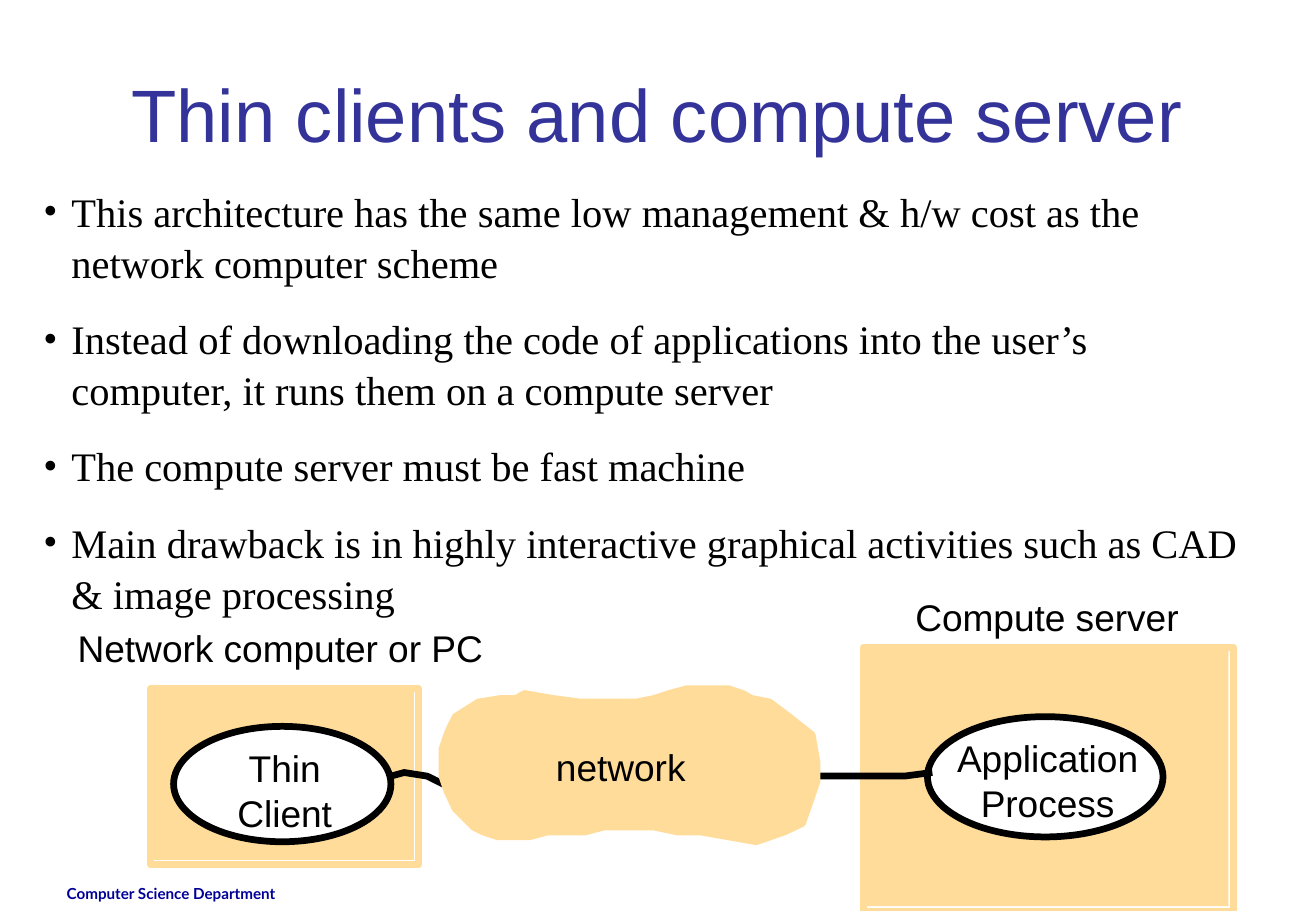
from pptx import Presentation
from pptx import util as u
from pptx.dml.color import RGBColor
from pptx.enum import shapes, text
from lxml import etree

UNIT = 9144  # the grid has 100 columns and rows to the inch
WIDE, HIGH = 1084, 750
BLACK = RGBColor(0, 0, 0)
WHITE = RGBColor(255, 255, 255)
SAND = RGBColor(0xFF, 0xDC, 0x99)
INDIGO = RGBColor(0x33, 0x33, 0x99)
NAVY = RGBColor(0, 0, 0x99)
MID, LEFT = text.PP_ALIGN.CENTER, text.PP_ALIGN.LEFT

POINTS = [
    "This architecture has the same low management & h/w cost as the network computer scheme",
    "Instead of downloading the code of applications into the user’s computer, "
    "it runs them on a compute server",
    "The compute server must be fast machine",
    "Main drawback is in highly interactive graphical activities such as CAD & image processing",
]
CLOUD = [
    (7, 31), (11, 23), (30, 11), (49, 8), (61, 8), (68, 4), (91, 8), (114, 11),
    (160, 11), (175, 8), (187, 4), (202, 0), (236, 0), (248, 4), (255, 8),
    (270, 11), (286, 23), (305, 38), (309, 61), (309, 76), (305, 88), (297, 111),
    (282, 118), (259, 126), (213, 118), (194, 118), (175, 114), (133, 114),
    (118, 118), (87, 118), (72, 122), (46, 122), (34, 118), (26, 114), (19, 107),
    (11, 99), (4, 84), (0, 72), (0, 50), (4, 38),
]


def grid(*cells):
    return [u.Emu(c * UNIT) for c in cells]


def inside(box, part):
    """Turn a part's offset within a box into a place on the slide."""
    return box[0] + part[0], box[1] + part[1], part[2], part[3]


def write(frame, lines, size, color=BLACK, align=MID, font="Arial", bold=False):
    """Fill a text frame, one paragraph a line, and give back the paragraphs."""
    frame.text = "\n".join(lines)
    for para in frame.paragraphs:
        para.alignment = align
        para.font.name, para.font.size = font, u.Pt(size)
        para.font.color.rgb, para.font.bold = color, bold
    return frame.paragraphs


def inset(frame, left=0, top=0, right=0, low=0):
    (frame.margin_left, frame.margin_top,
     frame.margin_right, frame.margin_bottom) = grid(left, top, right, low)


def paint(shape, fill=None, line=None):
    shape.shadow.inherit = False
    if fill is None:
        shape.fill.background()
    else:
        shape.fill.solid()
        shape.fill.fore_color.rgb = fill
    if line is None:
        shape.line.fill.background()
    else:
        shape.line.color.rgb = line
        shape.line.width = u.Pt(4)


def figure(slide, kind, box, fill=None, line=None):
    shape = slide.shapes.add_shape(kind, *grid(*box))
    paint(shape, fill, line)
    return shape


def trace(slide, box, dots, closed=False, fill=None, line=BLACK):
    """Draw an outline whose dots are offsets from the box's corner."""
    spots = [(box[0] + x, box[1] + y) for x, y in dots]
    pen = slide.shapes.build_freeform(*spots[0], scale=UNIT)
    pen.add_line_segments(spots[1:], close=closed)
    shape = pen.convert_to_shape()
    paint(shape, fill, line)
    return shape


def label(slide, box, words, size, wrap=True, **style):
    frame = slide.shapes.add_textbox(*grid(*box)).text_frame
    frame.word_wrap = wrap
    inset(frame)
    write(frame, [words], size, **style)
    return frame


def heading(slide, box):
    frame = label(slide, box, "Thin clients and compute server", 44, color=INDIGO)
    frame.vertical_anchor = text.MSO_ANCHOR.MIDDLE


def bullets(slide, box):
    frame = slide.shapes.add_textbox(*grid(*box)).text_frame
    frame.word_wrap = True
    inset(frame, 10, 5, 10, 5)
    frame.text = "\n".join(POINTS)
    for para in frame.paragraphs:
        props = para._p.get_or_add_pPr()
        props.set("marL", str(23 * UNIT))
        props.set("indent", str(-23 * UNIT))
        space = props.nsmap["a"]
        etree.SubElement(props, f"{{{space}}}buFont", typeface="Times New Roman")
        etree.SubElement(props, f"{{{space}}}buChar", char="•")
        para.font.name, para.font.size = "Times New Roman", u.Pt(24)
        para.font.color.rgb = BLACK
        para.line_spacing = 1.05
    for para in frame.paragraphs[1:]:
        para.space_before = u.Pt(15)


def machine(slide, box, name, tag, oval, lines, drop):
    """A computer: framed panel, name above it, and its process in an oval."""
    rect = shapes.MSO_SHAPE.RECTANGLE
    left, top, wide, high = box
    figure(slide, rect, (left, top, wide - 4, high - 4), fill=SAND)
    figure(slide, rect, box, line=SAND)
    task = figure(slide, shapes.MSO_SHAPE.OVAL, inside(box, oval), WHITE, BLACK)
    frame = task.text_frame
    frame.word_wrap = False
    frame.vertical_anchor = text.MSO_ANCHOR.MIDDLE
    inset(frame, left=4, top=drop)
    write(frame, lines, 22)
    label(slide, inside(box, tag), name, 22, wrap=False, align=LEFT)


def network(slide, box):
    """The cloud and the two wires that lead to it."""
    trace(slide, box, [(-42, 72), (-31, 69), (-12, 72), (-4, 76), (4, 80)])
    trace(slide, box, [(404, 69), (381, 72), (289, 72)])
    trace(slide, box, CLOUD, True, SAND, SAND)
    label(slide, inside(box, (94, 46, 107, 37)), "network", 22, wrap=False, align=LEFT)


def main():
    deck = Presentation()
    deck.slide_width, deck.slide_height = grid(WIDE, HIGH)
    slide = deck.slides.add_slide(deck.slide_layouts[6])
    label(slide, (55, 728, 233, 17), "Computer Science Department", 9,
          color=NAVY, align=LEFT, font="Lato", bold=True)
    heading(slide, (54, 30, 975, 125))
    machine(slide, (124, 567, 221, 145), "Network computer or PC",
            (-60, -52, 334, 37), (19, 31, 179, 95), ["Thin", "Client"], 10)
    machine(slide, (711, 533, 305, 217), "Compute server",
            (43, -44, 217, 37), (53, 57, 194, 99), ["Application", "Process"], 6)
    network(slide, (364, 567, 309, 126))
    bullets(slide, (26, 147, 1020, 353))
    deck.save("out.pptx")


if __name__ == "__main__":
    main()
